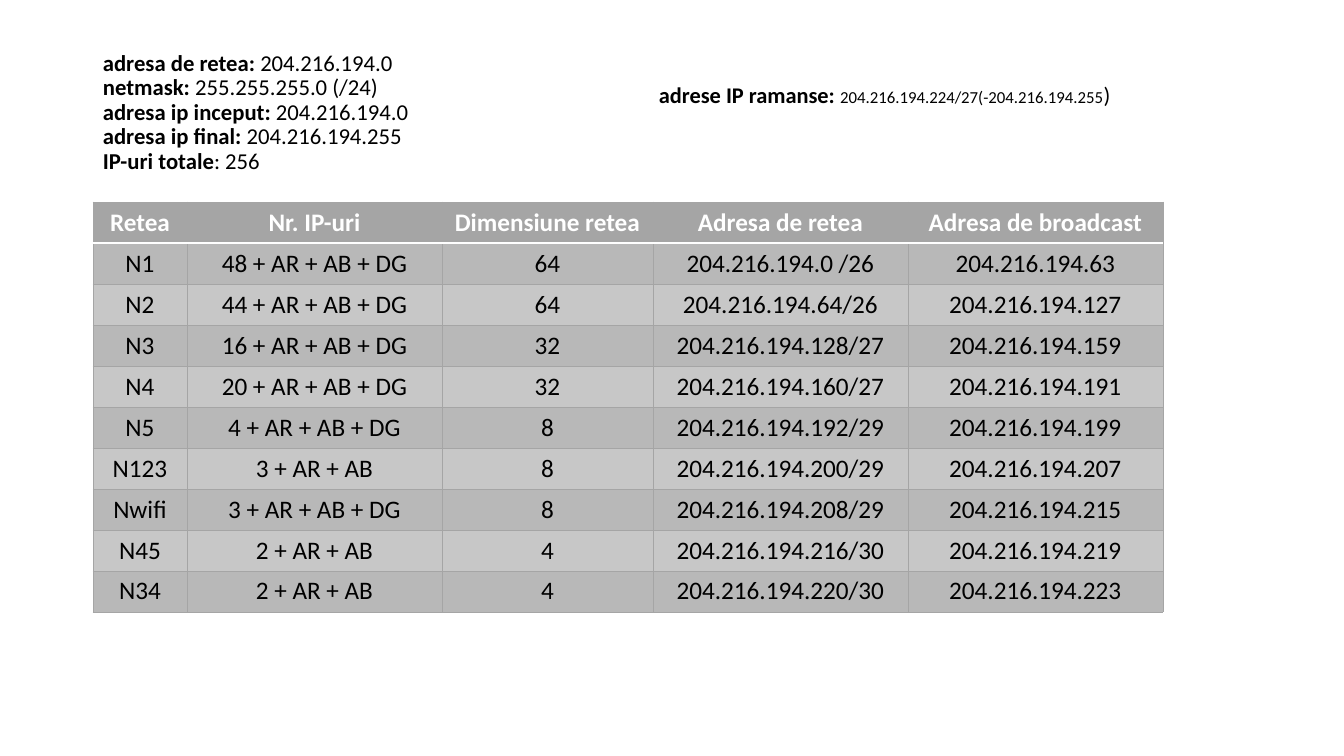
from lxml import etree
from pptx import Presentation
from pptx import util as u
from pptx.dml.color import RGBColor
from pptx.enum import text
from pptx.oxml.ns import qn

BLACK = RGBColor(0x00, 0x00, 0x00)
WHITE = RGBColor(0xFF, 0xFF, 0xFF)
GRAY = RGBColor(0xA5, 0xA5, 0xA5)
BAND_DARK = RGBColor(0xB8, 0xB8, 0xB8)
BAND_LIGHT = RGBColor(0xC7, 0xC7, 0xC7)

NETWORK_FACTS = [
    ("adresa de retea: ", "204.216.194.0"),
    ("netmask: ", "255.255.255.0 (/24)"),
    ("adresa ip inceput: ", "204.216.194.0"),
    ("adresa ip final: ", "204.216.194.255"),
    ("IP-uri totale", ": 256"),
]
SUBNETS = [
    ("Retea", "Nr. IP-uri", "Dimensiune retea", "Adresa de retea", "Adresa de broadcast"),
    ("N1", "48 + AR + AB + DG", "64", "204.216.194.0 /26", "204.216.194.63"),
    ("N2", "44 + AR + AB + DG", "64", "204.216.194.64/26", "204.216.194.127"),
    ("N3", "16 + AR + AB + DG", "32", "204.216.194.128/27", "204.216.194.159"),
    ("N4", "20 + AR + AB + DG", "32", "204.216.194.160/27", "204.216.194.191"),
    ("N5", "4 + AR + AB + DG", "8", "204.216.194.192/29", "204.216.194.199"),
    ("N123", "3 + AR + AB", "8", "204.216.194.200/29", "204.216.194.207"),
    ("Nwifi", "3 + AR + AB + DG", "8", "204.216.194.208/29", "204.216.194.215"),
    ("N45", "2 + AR + AB", "4", "204.216.194.216/30", "204.216.194.219"),
    ("N34", "2 + AR + AB", "4", "204.216.194.220/30", "204.216.194.223"),
]
COLUMN_WIDTHS = [94, 255, 211, 255, 255]
ROW_HEIGHT = 41


def px(length):
    return u.Emu(round(length * u.Inches(1) / 100.8))


class SlideWriter:
    font_name = "Calibri"

    def __init__(self, page):
        self.page = page

    def style(self, span, size, color=BLACK, bold=False):
        span.font.name = self.font_name
        span.font.size = u.Pt(size)
        span.font.bold = bold
        span.font.color.rgb = color

    def text_box(self, left, top, width, height, lines, spacing=1.0):
        """Each line is a list of (wording, size, bold) spans."""
        box = self.page.shapes.add_textbox(px(left), px(top), px(width), px(height))
        frame = box.text_frame
        frame.word_wrap = True
        para = frame.paragraphs[0]
        para.line_spacing = spacing
        for number, line in enumerate(lines):
            if number:
                para.add_line_break()
            for wording, size, bold in line:
                span = para.add_run()
                span.text = wording
                self.style(span, size, bold=bold)
        return frame

    def border(self, cell, side, color, width):
        line = etree.SubElement(cell._tc.get_or_add_tcPr(), qn(f"a:ln{side}"), w=str(u.Pt(width)))
        fill = etree.SubElement(line, qn("a:solidFill"))
        etree.SubElement(fill, qn("a:srgbClr"), val=str(color))

    def cell(self, cell, wording, fill, color, bold, white_side):
        for side in "LRTB":
            if side == white_side:
                self.border(cell, side, WHITE, 1)
            else:
                self.border(cell, side, GRAY, 0.5)
        cell.fill.solid()
        cell.fill.fore_color.rgb = fill
        cell.text_frame.text = wording
        para = cell.text_frame.paragraphs[0]
        para.alignment = text.PP_ALIGN.CENTER
        self.style(para.runs[0], 18, color, bold)

    def table(self, left, top, widths, row_height, rows):
        table = self.page.shapes.add_table(
            len(rows), len(widths), px(left), px(top),
            px(sum(widths)), px(row_height * len(rows))).table
        for column, width in zip(table.columns, widths):
            column.width = px(width)
        for r, row in enumerate(rows):
            table.rows[r].height = px(row_height)
            header = r == 0
            band = BAND_DARK if r % 2 else BAND_LIGHT
            for c, wording in enumerate(row):
                self.cell(table.cell(r, c), wording,
                          fill=GRAY if header else band,
                          color=WHITE if header else BLACK,
                          bold=header,
                          white_side={0: "B", 1: "T"}.get(r))


def main():
    deck = Presentation()
    deck.slide_width, deck.slide_height = px(1344), px(756)
    writer = SlideWriter(deck.slides.add_slide(deck.slide_layouts[6]))

    # Summary of the whole network
    facts = [[(label, 16.2, True), (value, 16.2, False)] for label, value in NETWORK_FACTS]
    summary = writer.text_box(93, 40, 416, 146, facts, spacing=0.9)
    summary.vertical_anchor = text.MSO_ANCHOR.MIDDLE

    # Subnet table
    writer.table(93, 202, COLUMN_WIDTHS, ROW_HEIGHT, SUBNETS)

    # Remaining addresses
    remaining = writer.text_box(649, 76, 603, 37, [[
        ("adrese IP ramanse: ", 16, True),
        ("204.216.194.224/27(-204.216.194.255", 12, False),
        (")", 16, False),
    ]])
    remaining.auto_size = text.MSO_AUTO_SIZE.SHAPE_TO_FIT_TEXT

    deck.save("out.pptx")


if __name__ == "__main__":
    main()
